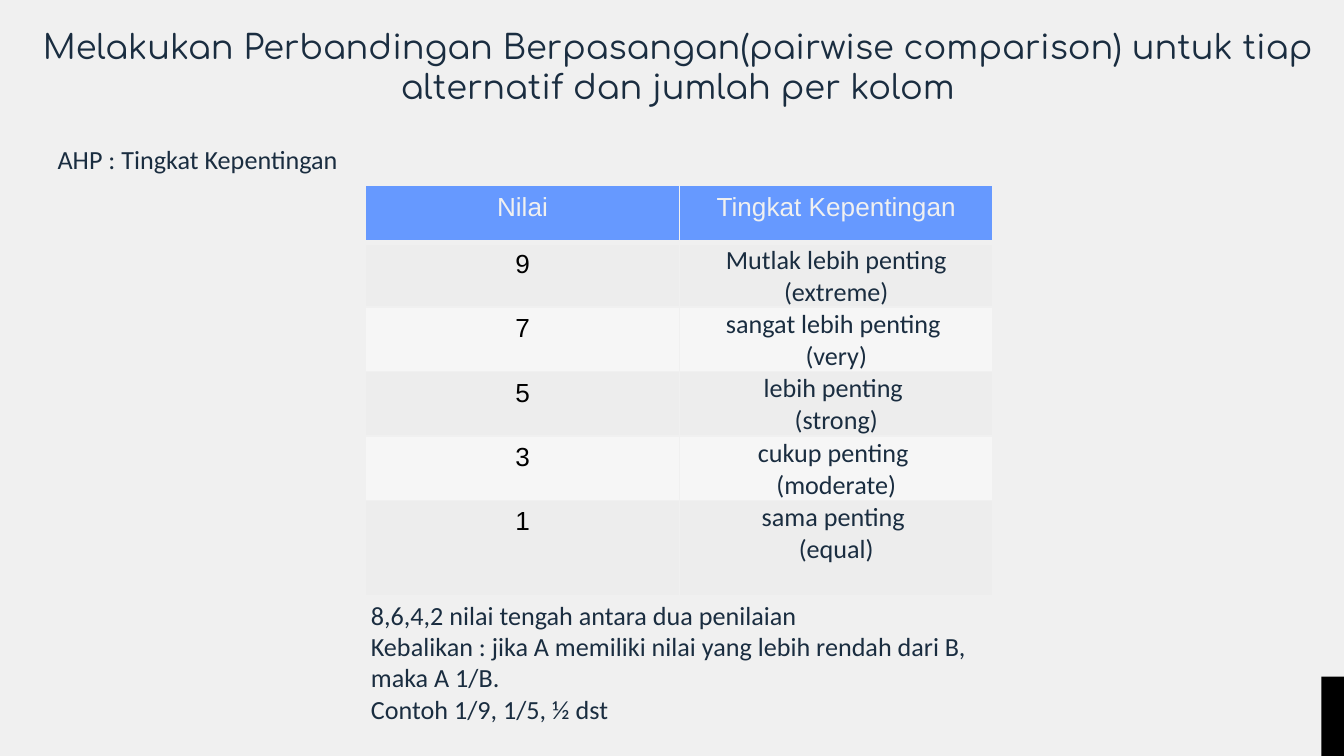
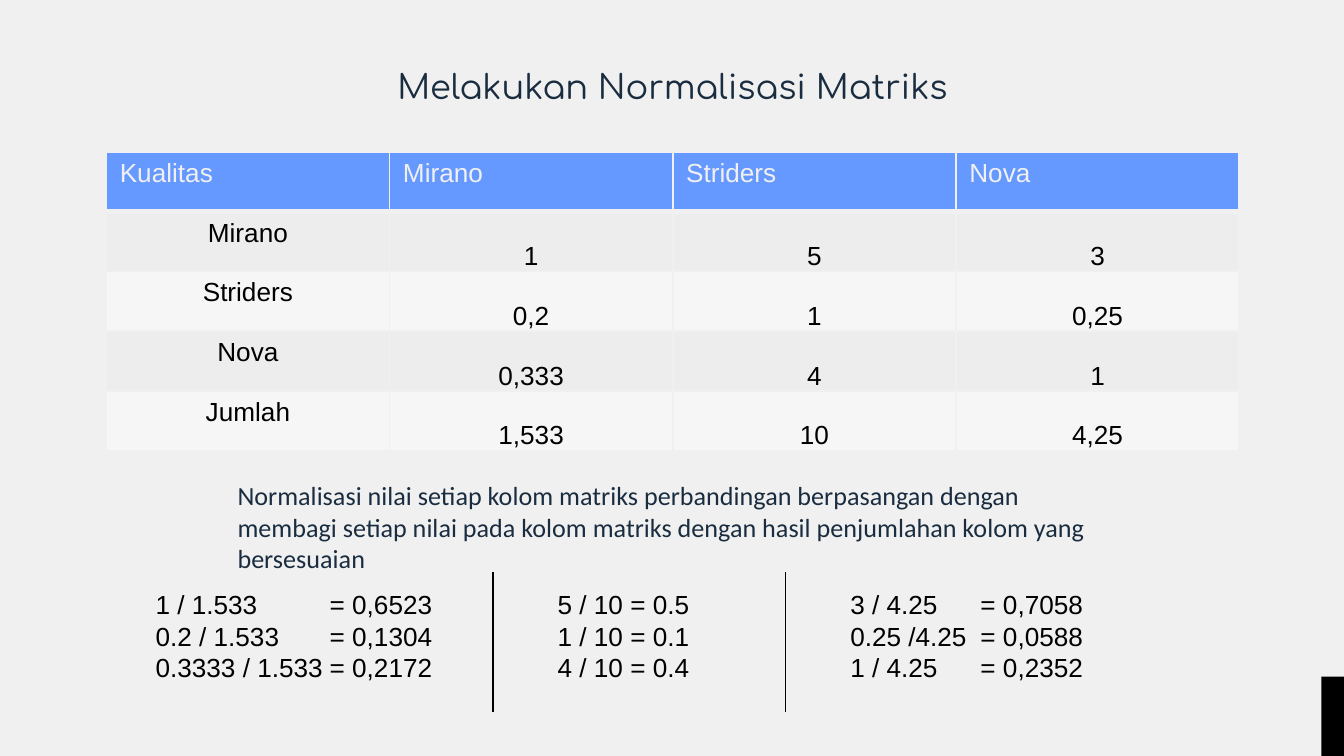
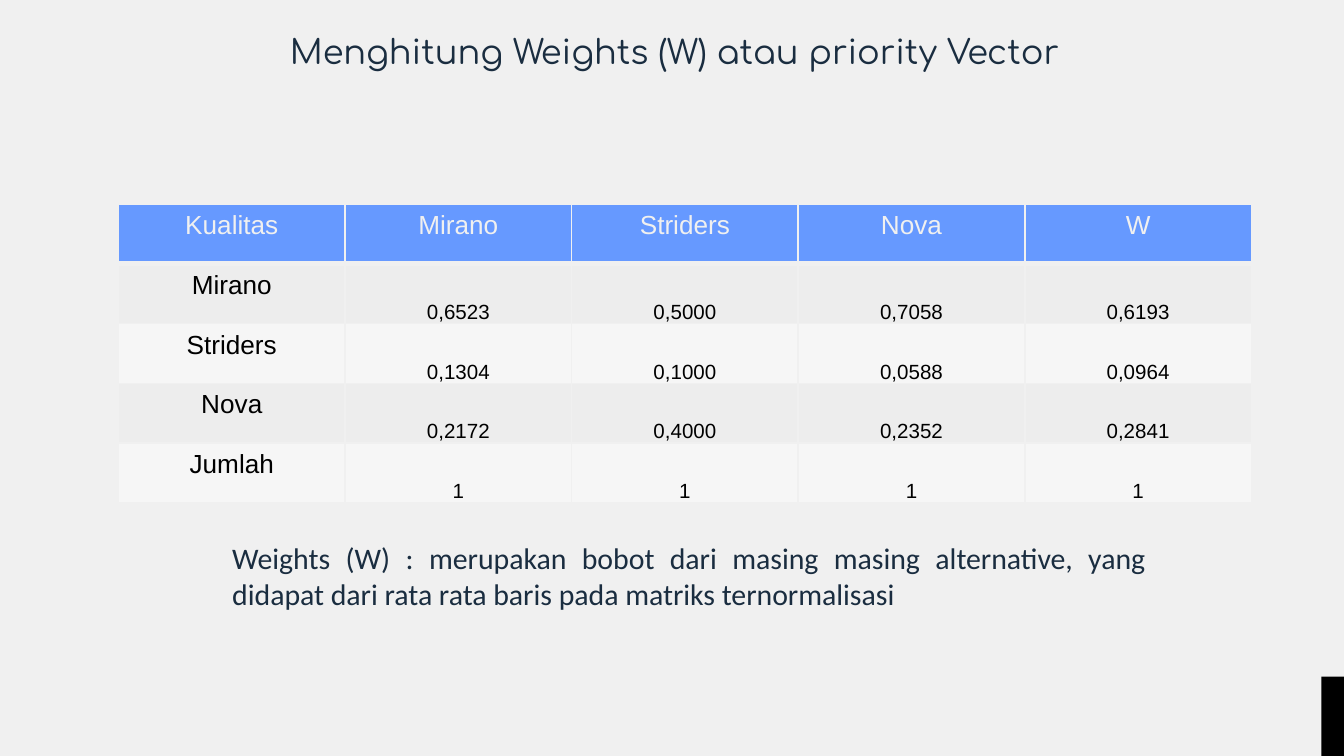
from dataclasses import dataclass
from typing import NamedTuple

from lxml.etree import SubElement
from pptx import Presentation
from pptx.dml.color import RGBColor
from pptx.enum.shapes import MSO_CONNECTOR as Connector, MSO_SHAPE as Shape
from pptx.enum.text import MSO_ANCHOR as Anchor, MSO_AUTO_SIZE as AutoSize, PP_ALIGN as Align
from pptx.oxml.ns import qn
from pptx.util import Cm, Pt


@dataclass(frozen=True)
class Theme:
    """Colours, fonts and type sizes of the deck."""
    paper: str = "F0F0F0"
    navy: str = "1A2D40"
    black: str = "000000"
    header: str = "6699FF"
    bands: tuple = ("EDEDED", "F6F6F6")
    title_font: str = "Comfortaa"
    prose_font: str = "Calibri"
    figure_font: str = "Arial"
    title_size: int = 18
    lead_size: int = 16
    body_size: int = 14
    small_size: int = 11


class Box(NamedTuple):
    """A region in centimetres."""
    left: float
    top: float
    width: float
    height: float

    def lengths(self):
        """Return the four sides as slide lengths."""
        return [Cm(side) for side in self]


THEME = Theme()
PAGE = Box(0, 0, 25.4, 14.29)
BRANDS = ["Mirano", "Striders", "Nova"]
ALTERNATIVES = [*BRANDS, "Jumlah"]


def rgb(code):
    """Turn a hex code into a colour."""
    return RGBColor.from_string(code)


def write_text(frame, text, font=THEME.prose_font, size=THEME.body_size,
               color=THEME.navy, align=Align.LEFT, tab=None):
    """Write one paragraph per line of text in the given format."""
    for index, line in enumerate(text.split("\n")):
        paragraph = frame.add_paragraph() if index else frame.paragraphs[0]
        paragraph.alignment = align
        if tab:
            stops = SubElement(paragraph._p.get_or_add_pPr(), qn("a:tabLst"))
            SubElement(stops, qn("a:tab"), pos=str(Cm(tab)), algn="l")
        run = paragraph.add_run()
        run.text = line
        run.font.name, run.font.size, run.font.bold = font, Pt(size), False
        run.font.color.rgb = rgb(color)


def add_prose(slide, box, text, wrap=True, **style):
    """Add a text box that grows with its text."""
    frame = slide.shapes.add_textbox(*box.lengths()).text_frame
    frame.word_wrap = wrap
    frame.auto_size = AutoSize.SHAPE_TO_FIT_TEXT
    write_text(frame, text, **style)
    return frame


def add_title(slide, box, text, align=Align.CENTER, inset=0.25):
    """Add a slide title that stands on the bottom of its box."""
    frame = slide.shapes.add_textbox(*box.lengths()).text_frame
    frame.word_wrap = True
    frame.vertical_anchor = Anchor.BOTTOM
    frame.margin_top = frame.margin_bottom = Cm(inset)
    write_text(frame, text, font=THEME.title_font, size=THEME.title_size, align=align)


def add_corner_band(slide, page, length=1.5, thickness=0.43):
    """Add the upright black band in the bottom right corner."""
    left = page.width - (thickness + length) / 2
    top = page.height - (length + thickness) / 2
    band = slide.shapes.add_shape(Shape.RECTANGLE, *Box(left, top, length, thickness).lengths())
    band.rotation = 90
    band.shadow.inherit = False
    band.fill.solid()
    band.fill.fore_color.rgb = rgb(THEME.black)
    band.line.fill.background()


def paint_cell(cell, fill, bottom=1):
    """Give a cell its borders and fill."""
    properties = cell._tc.get_or_add_tcPr()
    for side, width in (("L", 1), ("R", 1), ("T", 1), ("B", bottom)):
        border = SubElement(properties, qn(f"a:ln{side}"), w=str(Pt(width)))
        SubElement(SubElement(border, qn("a:solidFill")), qn("a:srgbClr"), val=THEME.paper)
    cell.fill.solid()
    cell.fill.fore_color.rgb = rgb(fill)


def add_matrix(slide, box, rows, row_height, header_align=Align.CENTER, **value_style):
    """Add a banded table with a header row and a label column."""
    frame = slide.shapes.add_table(len(rows), len(rows[0]), *box.lengths())
    matrix = frame.table
    matrix.horz_banding = False
    for r, row in enumerate(rows):
        matrix.rows[r].height = Cm(row_height)
        for c, text in enumerate(row):
            cell = matrix.cell(r, c)
            style = {"font": THEME.figure_font, "color": THEME.black, "align": Align.CENTER}
            if r == 0:
                style.update(color=THEME.paper, align=header_align)
                paint_cell(cell, THEME.header, bottom=3)
            else:
                paint_cell(cell, THEME.bands[(r - 1) % 2])
                if c:
                    style.update(value_style)
                    cell.vertical_anchor = Anchor.BOTTOM
                    cell.margin_left = cell.margin_right = cell.margin_top = Cm(0.03)
                    cell.margin_bottom = 0
            write_text(cell.text_frame, text, **style)
    frame.height = Cm(box.height)
    return matrix


def add_divider(slide, x, top, height):
    """Add a thin upright line."""
    line = slide.shapes.add_connector(Connector.STRAIGHT, Cm(x), Cm(top), Cm(x), Cm(top + height))
    line.line.color.rgb = rgb(THEME.black)
    line.line.width = Pt(0.75)
    SubElement(line._element.spPr, qn("a:effectLst"))


def add_divisions(slide, box, columns, gap=0.97, drop=0.18):
    """Add the worked divisions in columns with a divider before each next one."""
    for index, (offset, width, tab, text) in enumerate(columns):
        left = box.left + offset
        add_prose(slide, Box(left, box.top + drop, width, 2.06), text,
                  font=THEME.figure_font, color=THEME.black, tab=tab)
        if index:
            add_divider(slide, left - gap, box.top, box.height)


def build_importance(slide, page):
    """Build the slide with the scale of importance."""
    add_title(slide, Box(0.53, 0.25, page.width - 0.84, 2.01),
              "Melakukan Perbandingan Berpasangan(pairwise comparison) untuk tiap "
              "alternatif dan jumlah per kolom")
    add_prose(slide, Box(6.76, 11.2, 12.78, 2.64),
              "8,6,4,2 nilai tengah antara dua penilaian\n"
              "Kebalikan : jika A memiliki nilai yang lebih rendah dari B, maka A 1/B.\n"
              "Contoh 1/9, 1/5, ½ dst")
    scale = [
        ("Nilai", "Tingkat Kepentingan"),
        ("9", "Mutlak lebih penting (extreme)"),
        ("7", "sangat lebih penting \n(very)"),
        ("5", "lebih penting \n(strong)"),
        ("3", "cukup penting \n(moderate)"),
        ("1", "sama penting \n(equal)"),
    ]
    matrix = add_matrix(slide, Box(6.91, 3.51, 11.86, 7.7), scale, 1.08,
                        font=THEME.prose_font, color=THEME.navy)
    matrix.cell(len(scale) - 1, 1).margin_bottom = Cm(0.59)
    add_prose(slide, Box(0.84, 2.59, 5.89, 0.86), "AHP : Tingkat Kepentingan", wrap=False)


def build_normalisation(slide, page):
    """Build the slide with the matrix and its normalisation."""
    add_title(slide, Box(0.86, 0.25, page.width - 1.7, 2.01), "Melakukan Normalisasi Matriks")
    add_prose(slide, Box(4.24, 8.94, 17.53, 2.06),
              "Normalisasi nilai setiap kolom matriks perbandingan berpasangan dengan\n"
              "membagi setiap nilai pada kolom matriks dengan hasil penjumlahan kolom yang\n"
              "bersesuaian", align=Align.JUSTIFY)
    add_divisions(slide, Box(2.69, 10.82, 19.23, 2.64), [
        (0, 6.1, 3.29, "1 / 1.533\t= 0,6523\n0.2 / 1.533\t= 0,1304\n0.3333 / 1.533\t= 0,2172"),
        (7.6, 3.35, None, "5 / 10 = 0.5\n1 / 10 = 0.1\n4 / 10 = 0.4"),
        (13.13, 6.1, 2.46, "3 / 4.25\t= 0,7058\n0.25 /4.25\t= 0,0588\n1 / 4.25\t= 0,2352"),
    ])
    comparisons = [("1", "5", "3"), ("0,2", "1", "0,25"), ("0,333", "4", "1"),
                   ("1,533", "10", "4,25")]
    rows = [("Kualitas", *BRANDS)]
    rows += [(name, *values) for name, values in zip(ALTERNATIVES, comparisons)]
    add_matrix(slide, Box(2.01, 2.87, 21.41, 5.65), rows, 1.13, header_align=Align.LEFT)


def build_weights(slide, page):
    """Build the slide with the priority vector."""
    weights = [
        ("0,6523", "0,5000", "0,7058", "0,6193"),
        ("0,1304", "0,1000", "0,0588", "0,0964"),
        ("0,2172", "0,4000", "0,2352", "0,2841"),
        ("1",) * 4,
    ]
    rows = [("Kualitas", *BRANDS, "W")]
    rows += [(name, *values) for name, values in zip(ALTERNATIVES, weights)]
    add_matrix(slide, Box(2.24, 3.86, 21.41, 5.65), rows, 1.13, size=THEME.small_size)
    add_prose(slide, Box(4.14, 10.08, 17.78, 1.63),
              "Weights (W) : merupakan bobot dari masing masing alternative, yang didapat "
              "dari rata rata baris pada matriks ternormalisasi",
              size=THEME.lead_size, align=Align.JUSTIFY)
    add_title(slide, Box(5.23, 0.46, page.width - 9.98, 1.02),
              "Menghitung Weights (W) atau priority Vector", align=Align.LEFT, inset=0.13)


def main():
    """Build and save the deck."""
    deck = Presentation()
    deck.slide_width, deck.slide_height = Cm(PAGE.width), Cm(PAGE.height)
    backdrop = deck.slide_master.background.fill
    backdrop.solid()
    backdrop.fore_color.rgb = rgb(THEME.paper)
    for build in (build_importance, build_normalisation, build_weights):
        slide = deck.slides.add_slide(deck.slide_layouts[6])
        add_corner_band(slide, PAGE)
        build(slide, PAGE)
    deck.save("out.pptx")


if __name__ == "__main__":
    main()
